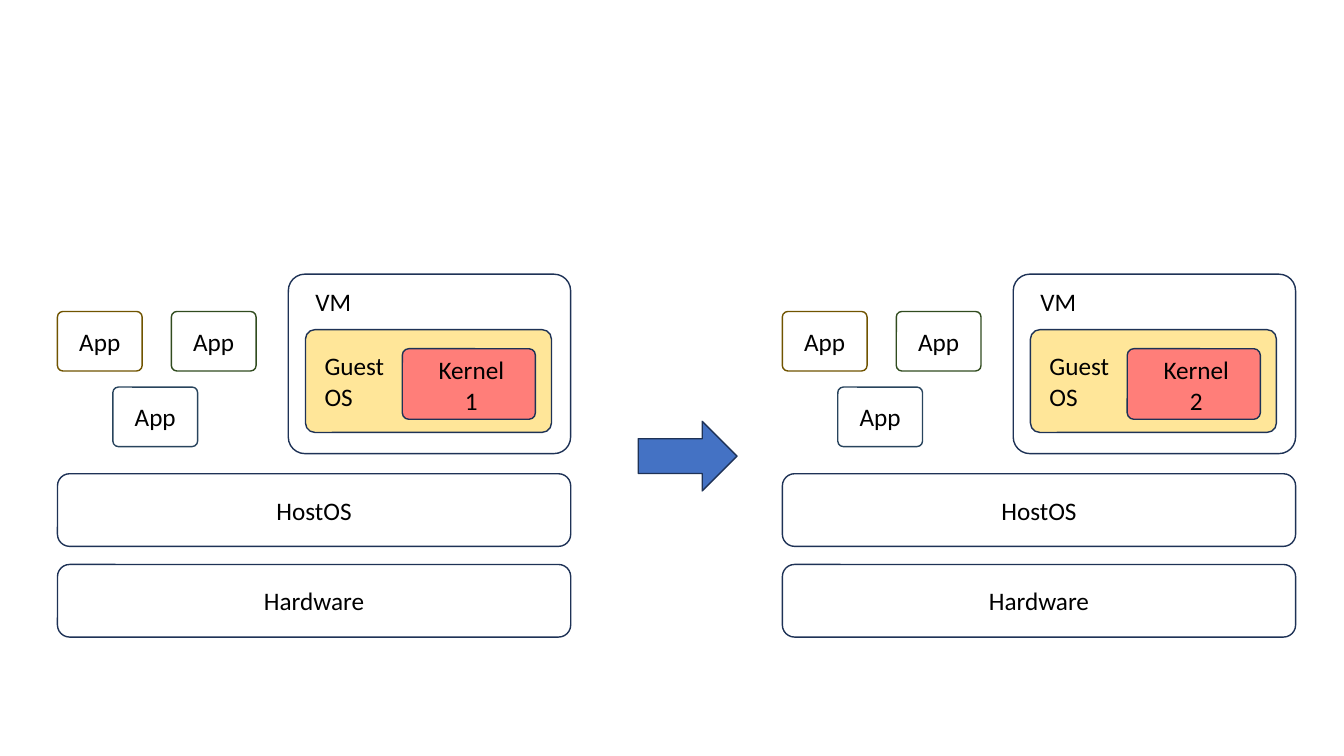
from dataclasses import dataclass
from typing import Optional

from pptx import Presentation
from pptx.dml.color import RGBColor
from pptx.enum.shapes import MSO_SHAPE
from pptx.enum.text import MSO_ANCHOR, PP_ALIGN
from pptx.shapes.autoshape import Shape
from pptx.slide import Slide
from pptx.util import Inches, Pt


@dataclass(frozen=True)
class Theme:
    """Colours, font and sizes used on the slide."""
    font: str = "Calibri"
    text_size: int = 18
    line_width: int = 1
    text: str = "000000"
    navy: str = "1E3256"
    brown: str = "705400"
    steel: str = "28445D"
    green: str = "314C1F"
    guest: str = "FFE699"
    kernel: str = "FF7E79"
    arrow: str = "4472C4"


THEME = Theme()


@dataclass(frozen=True)
class Box:
    """An outlined shape; x is measured from the left edge of its stack."""
    x: float
    y: float
    width: float
    height: float
    label: str = ""
    line: str = THEME.navy
    fill: Optional[str] = None
    corner: Optional[float] = None
    kind: MSO_SHAPE = MSO_SHAPE.ROUNDED_RECTANGLE


@dataclass(frozen=True)
class Label:
    """A free text; x is measured from the left edge of its stack."""
    x: float
    y: float
    width: float
    height: float
    text: str
    align: PP_ALIGN = PP_ALIGN.LEFT


SMALL_CORNER = 0.092
LAYER_WIDTH, LAYER_HEIGHT = 5.09, 0.72
APP_WIDTH, APP_HEIGHT = 0.84, 0.59
STACK_LEFTS = (0.57, 7.76)

LAYERS = [Box(0, y, LAYER_WIDTH, LAYER_HEIGHT, name)
          for name, y in (("Hardware", 5.6), ("HostOS", 4.7))]
APPS = [Box(x, y, APP_WIDTH, APP_HEIGHT, "App", line, corner=SMALL_CORNER)
        for x, y, line in ((0, 3.09, THEME.brown),
                           (0.55, 3.84, THEME.steel),
                           (1.13, 3.09, THEME.green))]
VM = Box(2.29, 2.72, 2.8, 1.78, corner=SMALL_CORNER)
GUEST_OS = Box(2.46, 3.27, 2.44, 1.02, fill=THEME.guest, corner=SMALL_CORNER)
KERNEL = Box(3.42, 3.46, 1.32, 0.7, fill=THEME.kernel, corner=SMALL_CORNER)
UPGRADE_ARROW = Box(6.33, 4.18, 0.98, 0.69, fill=THEME.arrow,
                    kind=MSO_SHAPE.RIGHT_ARROW)


def write(shape: Shape, text: str, align: PP_ALIGN, anchor: MSO_ANCHOR) -> None:
    """Put styled, wrapping text into a shape."""
    frame = shape.text_frame
    frame.word_wrap = True
    frame.vertical_anchor = anchor
    frame.text = text
    paragraph = frame.paragraphs[0]
    paragraph.alignment = align
    for run in paragraph.runs:
        run.font.name = THEME.font
        run.font.size = Pt(THEME.text_size)
        run.font.color.rgb = RGBColor.from_string(THEME.text)


def draw_box(slide: Slide, box: Box, left: float = 0) -> None:
    """Draw an outlined shape with its optional fill and label."""
    shape = slide.shapes.add_shape(
        box.kind, Inches(left + box.x), Inches(box.y),
        Inches(box.width), Inches(box.height))
    shape.shadow.inherit = False
    if box.corner is not None:
        shape.adjustments[0] = box.corner
    if box.fill:
        shape.fill.solid()
        shape.fill.fore_color.rgb = RGBColor.from_string(box.fill)
    else:
        shape.fill.background()
    shape.line.color.rgb = RGBColor.from_string(box.line)
    shape.line.width = Pt(THEME.line_width)
    if box.label:
        write(shape, box.label, PP_ALIGN.CENTER, MSO_ANCHOR.MIDDLE)


def draw_label(slide: Slide, label: Label, left: float) -> None:
    """Draw a text box anchored at its top."""
    shape = slide.shapes.add_textbox(
        Inches(left + label.x), Inches(label.y),
        Inches(label.width), Inches(label.height))
    write(shape, label.text, label.align, MSO_ANCHOR.TOP)


def draw_stack(slide: Slide, left: float, kernel_version: int) -> None:
    """Draw one host with its apps and a virtual machine."""
    for box in (*LAYERS, VM):
        draw_box(slide, box, left)
    draw_label(slide, Label(2.46, 2.79, 0.81, 0.4, "VM"), left)
    for box in (*APPS, GUEST_OS):
        draw_box(slide, box, left)
    draw_label(slide, Label(2.55, 3.43, 0.81, 0.71, "Guest\vOS"), left)
    draw_box(slide, KERNEL, left)
    draw_label(slide, Label(3.6, 3.47, 1.01, 0.71, f"Kernel {kernel_version}",
                            PP_ALIGN.CENTER), left)


def main() -> None:
    """Build the slide and save it."""
    presentation = Presentation()
    presentation.slide_width = Inches(13.33)
    presentation.slide_height = Inches(7.5)
    slide = presentation.slides.add_slide(presentation.slide_layouts[6])
    for version, left in enumerate(STACK_LEFTS, start=1):
        draw_stack(slide, left, version)
    draw_box(slide, UPGRADE_ARROW)
    presentation.save("out.pptx")


main()
